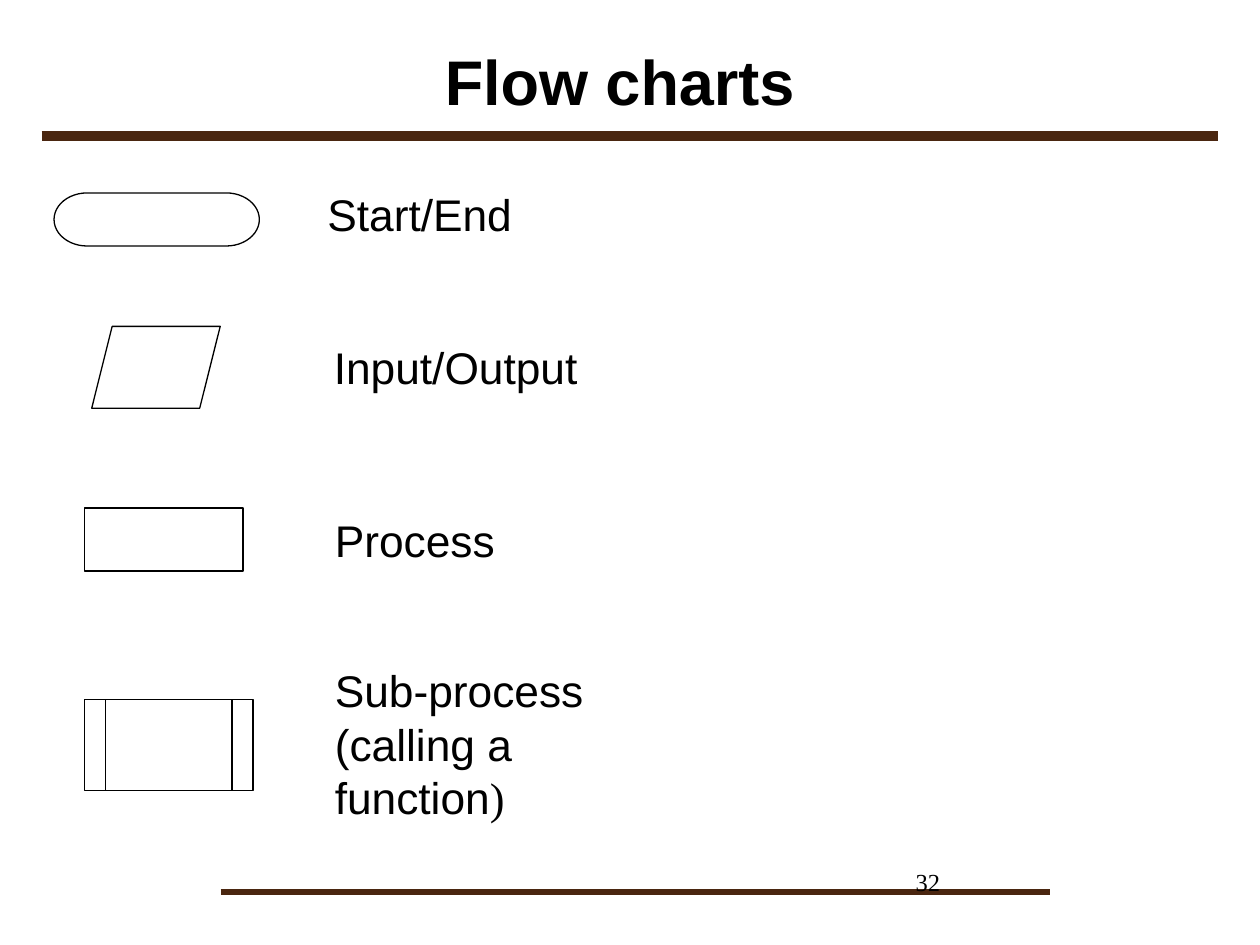
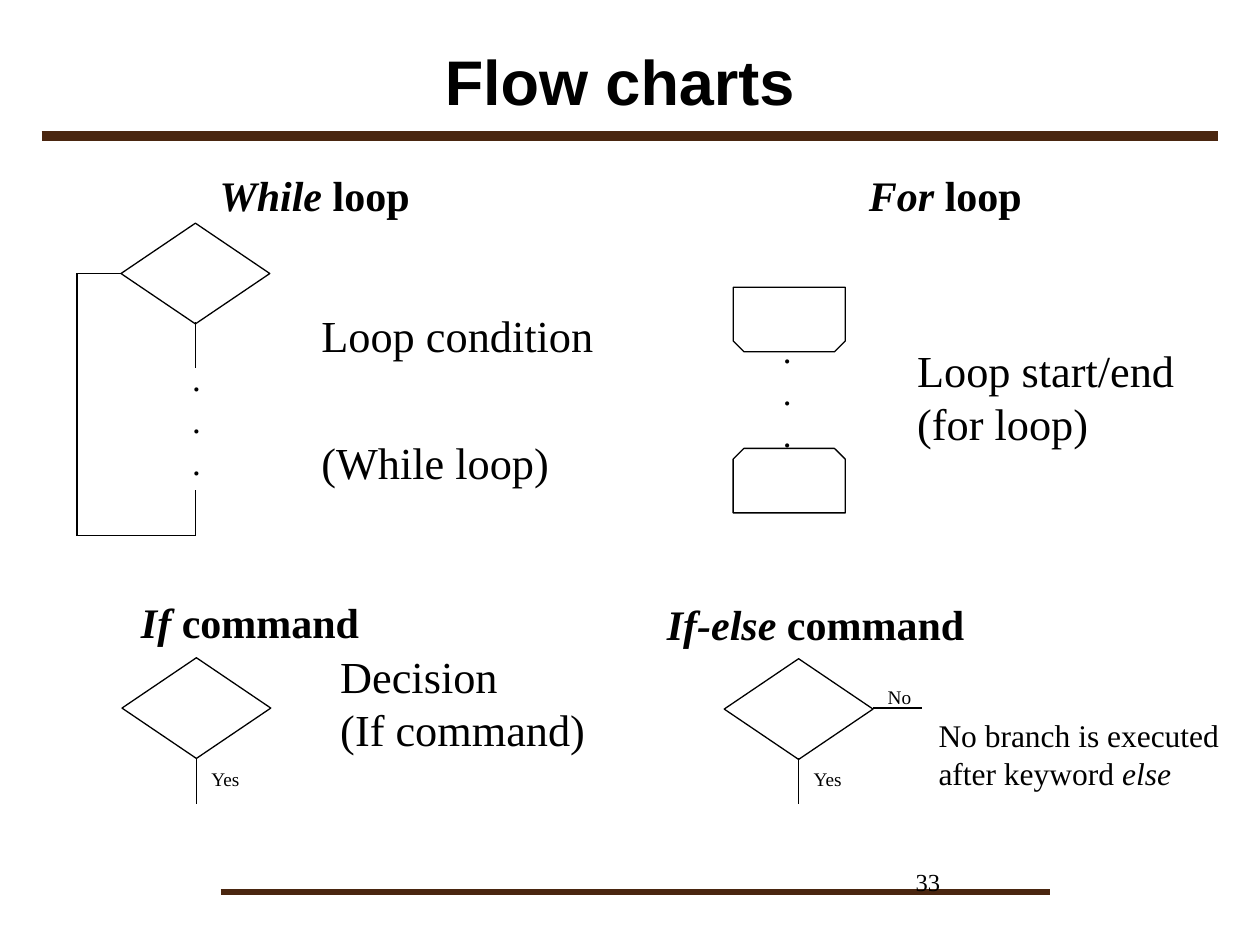
from itertools import pairwise

from lxml.etree import SubElement
from pptx import Presentation
from pptx.dml.color import RGBColor
from pptx.enum.shapes import MSO_CONNECTOR, MSO_SHAPE as Kind
from pptx.enum.text import MSO_ANCHOR as Anchor, MSO_AUTO_SIZE as AutoSize, PP_ALIGN as Align
from pptx.oxml.ns import qn
from pptx.util import Cm, Pt

BLACK = "000000"
BROWN = "4A2610"
SANS = "Arial"
SERIF = "Times New Roman"
INSETS = ("margin_left", "margin_top", "margin_right", "margin_bottom")

inset = dict.fromkeys(INSETS, Cm(0.1))
middle = {"vertical_anchor": Anchor.MIDDLE, "word_wrap": True}
fitted = {"auto_size": AutoSize.SHAPE_TO_FIT_TEXT, "word_wrap": False}
label_frame = {**fitted, **middle, **inset}
right = {"alignment": Align.RIGHT}
spaced = {"space_before": Pt(42)}

STYLES = {
    "title": (middle, {"alignment": Align.CENTER},
              {"name": SANS, "size": Pt(36), "bold": True}),
    "number": ({"word_wrap": True}, {}, {"name": SERIF, "size": Pt(14)}),
    "symbol": (label_frame, {}, {"name": SANS, "size": Pt(25.3)}),
    "label": (label_frame, {}, {"name": SERIF, "size": Pt(25.3)}),
    "spaced label": (label_frame, spaced, {"name": SERIF, "size": Pt(25.3)}),
    "note": (label_frame, {}, {"name": SERIF, "size": Pt(18)}),
    "heading": (fitted, right, {"name": SERIF, "size": Pt(24), "bold": True}),
    "dots": (fitted, right, {"name": SERIF, "size": Pt(20)}),
    "branch": (fitted, right, {"name": SERIF, "size": Pt(11)}),
}

italic = {"italic": True}
dots = [["."]] * 3

PAGES = [
    {
        "number": "32",
        "texts": [
            ("symbol", (6.5, 3.68, 4.42, 1.27), [["Start/End"]]),
            ("symbol", (6.63, 6.76, 5.38, 1.27), [["Input/Output"]]),
            ("symbol", (6.65, 10.24, 3.48, 1.27), [["Process"]]),
            ("symbol", (6.65, 13.26, 7.19, 3.45),
             [["Sub-process (calling a function", (")", {"name": SERIF})]]),
        ],
        "shapes": [
            (Kind.FLOWCHART_TERMINATOR, (1.09, 3.89, 4.14, 1.07), 0),
            (Kind.PARALLELOGRAM, (1.85, 6.58, 2.59, 1.65), 0),
            (Kind.RECTANGLE, (1.7, 10.24, 3.2, 1.27), 0),
            (Kind.FLOWCHART_PREDEFINED_PROCESS, (1.7, 14.1, 3.4, 1.83), 0),
        ],
        "routes": [],
    },
    {
        "number": "33",
        "texts": [
            ("heading", (2.01, 3.3, 6.5, 1.27), [[("While", italic), " loop"]]),
            ("heading", (17.22, 3.3, 3.63, 1.27), [[("For ", italic), "loop"]]),
            ("heading", (2.54, 11.91, 4.95, 1.27), [[("If ", italic), "command"]]),
            ("heading", (13.11, 11.94, 6.58, 1.27), [[("If-else ", italic), "command"]]),
            ("spaced label", (6.38, 6.1, 6.07, 3.86), [["Loop condition"], ["(While loop)"]]),
            ("label", (18.39, 6.81, 5.94, 2.36), [["Loop start/end (for loop)"]]),
            ("label", (6.76, 12.98, 6.07, 2.36), [["Decision"], ["(If command)"]]),
            ("note", (18.82, 14.33, 6.07, 1.73),
             [["No branch is executed after keyword ", ("else", italic)]]),
            ("dots", (3.61, 7.06, 0.69, 2.82), dots),
            ("dots", (15.52, 6.5, 0.69, 2.82), dots),
            ("branch", (3.96, 15.34, 1.12, 0.74), [["Yes"]]),
            ("branch", (16.1, 15.34, 1.12, 0.74), [["Yes"]]),
            ("branch", (17.63, 13.69, 0.99, 0.74), [["No"]]),
        ],
        "shapes": [
            (Kind.FLOWCHART_DECISION, (2.44, 4.5, 3, 2.03), 0),
            (Kind.FLOWCHART_DECISION, (2.46, 13.26, 3, 2.03), 0),
            (Kind.FLOWCHART_DECISION, (14.6, 13.28, 3, 2.03), 0),
            (Kind.SNIP_2_SAME_RECTANGLE, (14.78, 5.79, 2.26, 1.3), 180),
            (Kind.SNIP_2_SAME_RECTANGLE, (14.78, 9.04, 2.26, 1.3), 0),
        ],
        "routes": [
            [(3.94, 6.5), (3.94, 7.42)],
            [(3.94, 9.88), (3.94, 10.8), (1.55, 10.8), (1.55, 5.51), (2.44, 5.51)],
            [(3.96, 15.29), (3.96, 16.21)],
            [(16.1, 15.29), (16.1, 16.21)],
            [(17.6, 14.27), (18.59, 14.27)],
        ],
    },
]


def color(value):
    return RGBColor.from_string(value)


def apply(target, formats):
    for name, value in formats.items():
        setattr(target, name, value)


deck = Presentation()
apply(deck, {"slide_width": Cm(25.4), "slide_height": Cm(19.05)})

for content in PAGES:
    page = deck.slides.add_slide(deck.slide_layouts[6])

    texts = [
        ("number", (18.21, 17.35, 5.28, 1.27), [[content["number"]]]),
        ("title", (1.7, 0.74, 21.59, 1.75), [["Flow charts"]]),
        *content["texts"],
    ]
    routes = [
        (BROWN, 3, [(4.45, 17.98), (21.16, 17.98)]),
        (BROWN, 6, [(0.84, 2.74), (24.56, 2.74)]),
        *((BLACK, 0.75, points) for points in content["routes"]),
    ]

    for line_color, width, points in routes:
        for start, end in pairwise(points):
            line = page.shapes.add_connector(
                MSO_CONNECTOR.STRAIGHT, *map(Cm, start), *map(Cm, end))
            line.line.color.rgb = color(line_color)
            line.line.width = Pt(width)
            SubElement(line._element.spPr, qn("a:effectLst"))

    for kind, bounds, rotation in content["shapes"]:
        symbol = page.shapes.add_shape(kind, *map(Cm, bounds))
        symbol.rotation = rotation
        symbol.shadow.inherit = False
        symbol.fill.background()
        symbol.line.color.rgb = color(BLACK)
        symbol.line.width = Pt(0.75)

    for style, bounds, lines in texts:
        frame_format, para_format, font_format = STYLES[style]
        box = page.shapes.add_textbox(*map(Cm, bounds))
        frame = box.text_frame
        apply(frame, frame_format)
        for index, spans in enumerate(lines):
            para = frame.add_paragraph() if index else frame.paragraphs[0]
            apply(para, para_format)
            for piece in spans:
                words, extra = (piece, {}) if isinstance(piece, str) else piece
                span = para.add_run()
                span.text = words
                apply(span.font, {**font_format, **extra})
                span.font.color.rgb = color(BLACK)

deck.save("out.pptx")
